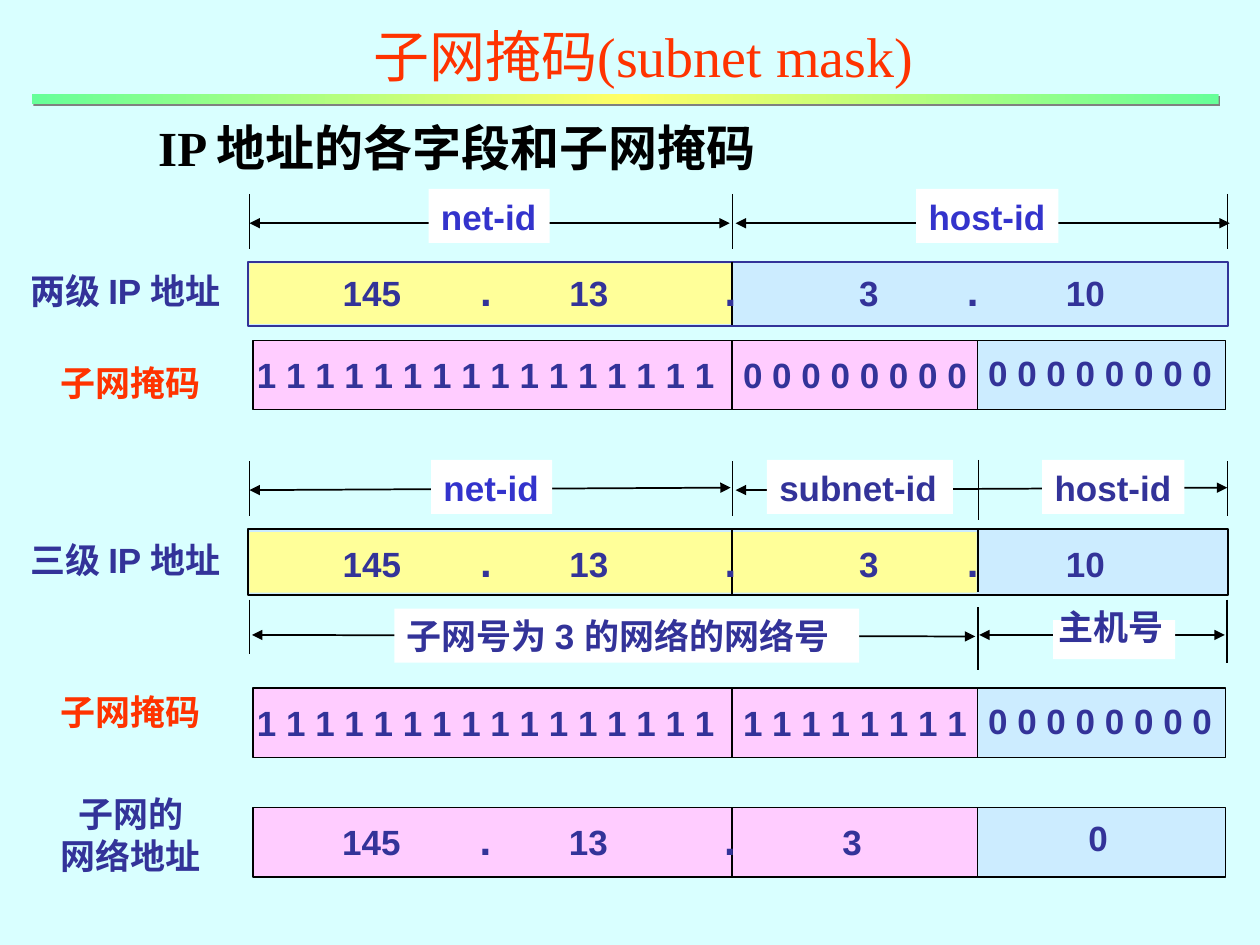
import copy

import pptx
import pptx.dml.color
import pptx.enum.dml
import pptx.enum.shapes
import pptx.enum.text
import pptx.oxml
import pptx.oxml.ns
import pptx.util

Cm, Pt = pptx.util.Cm, pptx.util.Pt
ALIGN = pptx.enum.text.PP_ALIGN
MIDDLE = pptx.enum.text.MSO_ANCHOR.MIDDLE
FIT = pptx.enum.text.MSO_AUTO_SIZE.SHAPE_TO_FIT_TEXT
RECTANGLE = pptx.enum.shapes.MSO_SHAPE.RECTANGLE
STRAIGHT = pptx.enum.shapes.MSO_CONNECTOR.STRAIGHT
NS = pptx.oxml.ns.nsdecls("a")

NAVY, BLUE, RED, BLACK = "333399", "3333CC", "FF3300", "000000"
YELLOW, PINK, SKY, WHITE = "FFFF99", "FFCCFF", "CCECFF", "FFFFFF"


def rgb(code):
    return pptx.dml.color.RGBColor.from_string(code)


def write(box, text, code, tabs=(), align=ALIGN.LEFT, **changes):
    """Fill a box; dots and tabs are set larger than the digits."""
    font_format = {"name": "Arial", "size": Pt(20), "bold": True} | changes
    frame = box.text_frame
    frame.word_wrap = bool(tabs)
    for number, line in enumerate(text.split("\n")):
        paragraph = frame.add_paragraph() if number else frame.paragraphs[0]
        paragraph.alignment = align
        if tabs:
            stops = "".join(f'<a:tab pos="{Cm(stop)}" algn="l"/>' for stop in tabs)
            paragraph._p.get_or_add_pPr().append(
                pptx.oxml.parse_xml(f"<a:tabLst {NS}>{stops}</a:tabLst>"))
        for piece in line.replace("\t", "|\t|").split("|"):
            run = paragraph.add_run()
            run.text = piece
            for key, value in font_format.items():
                setattr(run.font, key, value)
            if piece in (".", "\t"):
                run.font.size = Pt(24)
            run.font.color.rgb = rgb(code)


deck = pptx.Presentation()
deck.slide_width, deck.slide_height = Cm(25.4), Cm(19.05)
slide = deck.slides.add_slide(deck.slide_layouts[5])
shapes = slide.shapes
slide.background.fill.solid()
slide.background.fill.fore_color.rgb = rgb("D9FFFF")

# Heading and topic
topic = shapes.title
for key, value in {"left": 1.38, "top": 2.33, "width": 15.65, "height": 1.27}.items():
    setattr(topic, key, Cm(value))
heading = shapes.add_textbox(Cm(2.49), Cm(0), Cm(20.96), Cm(2.21))
write(topic, "IP 地址的各字段和子网掩码", BLACK, align=ALIGN.CENTER,
      name="Times New Roman", size=Pt(28))
write(heading, "子网掩码(subnet mask)", RED, align=ALIGN.CENTER,
      name="Times New Roman", size=Pt(32), bold=False)
for box in (topic, heading):
    box.text_frame.vertical_anchor = MIDDLE
    box.text_frame.word_wrap = True

# Gradient rule under the heading
rule = shapes.add_shape(RECTANGLE, Cm(0.64), Cm(1.9), Cm(23.93), Cm(0.2))
rule.line.fill.background()
rule.fill.gradient()
rule.fill.gradient_angle = 0
first_stop = rule.fill.gradient_stops[0]._gs
first_stop.addnext(copy.deepcopy(first_stop))
for stop, position, code in zip(rule.fill.gradient_stops, (0, 0.5, 1),
                                ("66FF99", "FFFF66", "66FF99")):
    stop.position = position
    stop.color.rgb = rgb(code)
rule._element.spPr.append(pptx.oxml.parse_xml(
    f'<a:effectLst {NS}><a:outerShdw dist="{Pt(1.4)}" dir="2700000">'
    '<a:srgbClr val="808080"/></a:outerShdw></a:effectLst>'))

# Column edges and row tops
LEFT, NET_END, SUBNET_END, RIGHT = 5.03, 14.76, 19.72, 24.74
TWO_LEVEL, MASK_1, THREE_LEVEL, MASK_2, SUBNET_ADDRESS = 5.28, 6.86, 10.67, 13.87, 16.28

# Field bars: left, top, width, height, fill, outline, outline width
fields = [
    (5, TWO_LEVEL, 19.76, 1.3, SKY, NAVY, 1),
    (LEFT, TWO_LEVEL + 0.03, 9.72, 1.22, YELLOW, None, 0),
    (5, THREE_LEVEL, 19.76, 1.32, SKY, BLACK, 1),
    (LEFT, THREE_LEVEL + 0.06, 14.66, 1.22, YELLOW, None, 0),
]
for top in (MASK_1, MASK_2, SUBNET_ADDRESS):
    fields += [(SUBNET_END - 0.02, top, 5, 1.4, SKY, BLACK, 0.75),
               (5.1, top, 14.6, 1.4, PINK, BLACK, 0.75)]
fields.append((21.23, 12.5, 2.46, 0.79, WHITE, None, 0))  # behind the host label

# Lines: x1, y1, x2, y2, width, arrowheads
lines = [(NET_END, top, NET_END, top + height, 1, False)
         for top, height in ((TWO_LEVEL, 1.27), (MASK_1, 1.4), (THREE_LEVEL, 1.3),
                             (MASK_2, 1.4), (SUBNET_ADDRESS, 1.4))]
for top in (3.91, 9.3):
    lines += [(x, top, x, top + 1.1, 0.75, False) for x in (LEFT, NET_END, RIGHT)]
lines += [
    (SUBNET_END, THREE_LEVEL, SUBNET_END, 11.94, 1, False),
    (SUBNET_END, 9.27, SUBNET_END, 10.49, 0.75, False),
    (LEFT, 12.09, LEFT, 13.18, 0.75, False),
    (SUBNET_END, 12.24, SUBNET_END, 13.51, 1, False),
    (RIGHT, 12.09, RIGHT, 13.36, 1, False),
    (LEFT, 4.5, 14.71, 4.5, 1, True),
    (14.83, 4.5, 24.79, 4.5, 1, True),
    (LEFT, 9.88, 14.73, 9.83, 1, True),
    (14.83, 9.88, RIGHT, 9.83, 1, True),
    (5.08, 12.8, 19.66, 12.83, 1, True),
    (19.74, 12.8, 24.69, 12.8, 1, True),
]

for left, top, width, height, fill, outline, weight in fields:
    field = shapes.add_shape(RECTANGLE, Cm(left), Cm(top), Cm(width), Cm(height))
    field.shadow.inherit = False
    field.fill.solid()
    field.fill.fore_color.rgb = rgb(fill)
    if outline:
        field.line.color.rgb = rgb(outline)
        field.line.width = Pt(weight)
    else:
        field.line.fill.background()
host_patch = field

for x1, y1, x2, y2, weight, arrows in lines:
    line = shapes.add_connector(STRAIGHT, Cm(x1), Cm(y1), Cm(x2), Cm(y2))
    line.line.color.rgb = rgb(BLACK)
    line.line.width = Pt(weight)
    if arrows:
        for end in ("headEnd", "tailEnd"):
            line.line._get_or_add_ln().append(
                pptx.oxml.parse_xml(f'<a:{end} {NS} type="triangle"/>'))
    line._element.spPr.append(pptx.oxml.parse_xml(f"<a:effectLst {NS}/>"))

# Bring the patch in front of its arrow
shapes._spTree.append(host_patch._element)

# Labels on the dimension arrows
for text, left, top, width, code in (
        ("net-id", 8.64, 3.81, 2.44, BLUE),
        ("host-id", 18.47, 3.81, 2.87, BLUE),
        ("net-id", 8.69, 9.27, 2.44, BLUE),
        ("subnet-id", 15.46, 9.27, 3.75, NAVY),
        ("host-id", 21.01, 9.27, 2.87, NAVY),
        ("子网号为 3 的网络的网络号", 7.95, 12.27, 9.37, NAVY)):
    span_label = shapes.add_textbox(Cm(left), Cm(top), Cm(width), Cm(1.09))
    span_label.fill.solid()
    span_label.fill.fore_color.rgb = rgb(WHITE)
    write(span_label, text, code)
    span_label.text_frame.auto_size = FIT

# Row names and single values
for text, left, top, width, height, code, align in (
        ("主机号", 21.08, 12.09, 2.62, 1.09, NAVY, ALIGN.LEFT),
        ("两级 IP 地址", 0.36, 5.31, 4.7, 1.09, NAVY, ALIGN.LEFT),
        ("子网掩码", 0.97, 7.16, 3.33, 1.09, RED, ALIGN.LEFT),
        ("三级 IP 地址", 0.36, 10.74, 4.7, 1.09, NAVY, ALIGN.LEFT),
        ("子网掩码", 0.97, 13.79, 3.33, 1.09, RED, ALIGN.LEFT),
        ("子网的\n网络地址", 0.97, 15.85, 3.33, 1.93, NAVY, ALIGN.CENTER),
        ("0 0 0 0 0 0 0 0", 19.67, 6.96, 5.03, 1.09, NAVY, ALIGN.LEFT),
        ("0 0 0 0 0 0 0 0", 19.67, 13.97, 5.03, 1.09, NAVY, ALIGN.LEFT),
        ("0", 21.69, 16.33, 0.89, 1.09, NAVY, ALIGN.LEFT)):
    row_text = shapes.add_textbox(Cm(left), Cm(top), Cm(width), Cm(height))
    write(row_text, text, code, align=align)
    row_text.text_frame.auto_size = FIT

# Octets and mask bits, spaced with tab stops
NET_TABS, HOST_TABS, MASK_TABS = (2.77, 4.57, 7.7, 10.08), (2.17, 4.17), (9.8,)
ONES = " ".join("1" * 16)
for text, left, top, width, tabs in (
        ("145\t.\t13\t.", 6.66, 5.21, 8.6, NET_TABS),
        ("3\t.\t10", 17.07, 5.21, 5.8, HOST_TABS),
        (ONES + "\t0 0 0 0 0 0 0 0", 4.93, MASK_1, 15.2, MASK_TABS),
        ("145\t.\t13\t.", 6.66, THREE_LEVEL, 8.6, NET_TABS),
        ("3\t.\t10", 17.07, THREE_LEVEL, 5.8, HOST_TABS),
        (ONES + "\t1 1 1 1 1 1 1 1", 4.93, MASK_2, 15.2, MASK_TABS),
        ("145\t.\t13\t.\t3", 6.65, SUBNET_ADDRESS, 11.2, NET_TABS)):
    digits = shapes.add_textbox(Cm(left), Cm(top), Cm(width), Cm(1.27))
    write(digits, text, NAVY, tabs)

deck.save("out.pptx")
